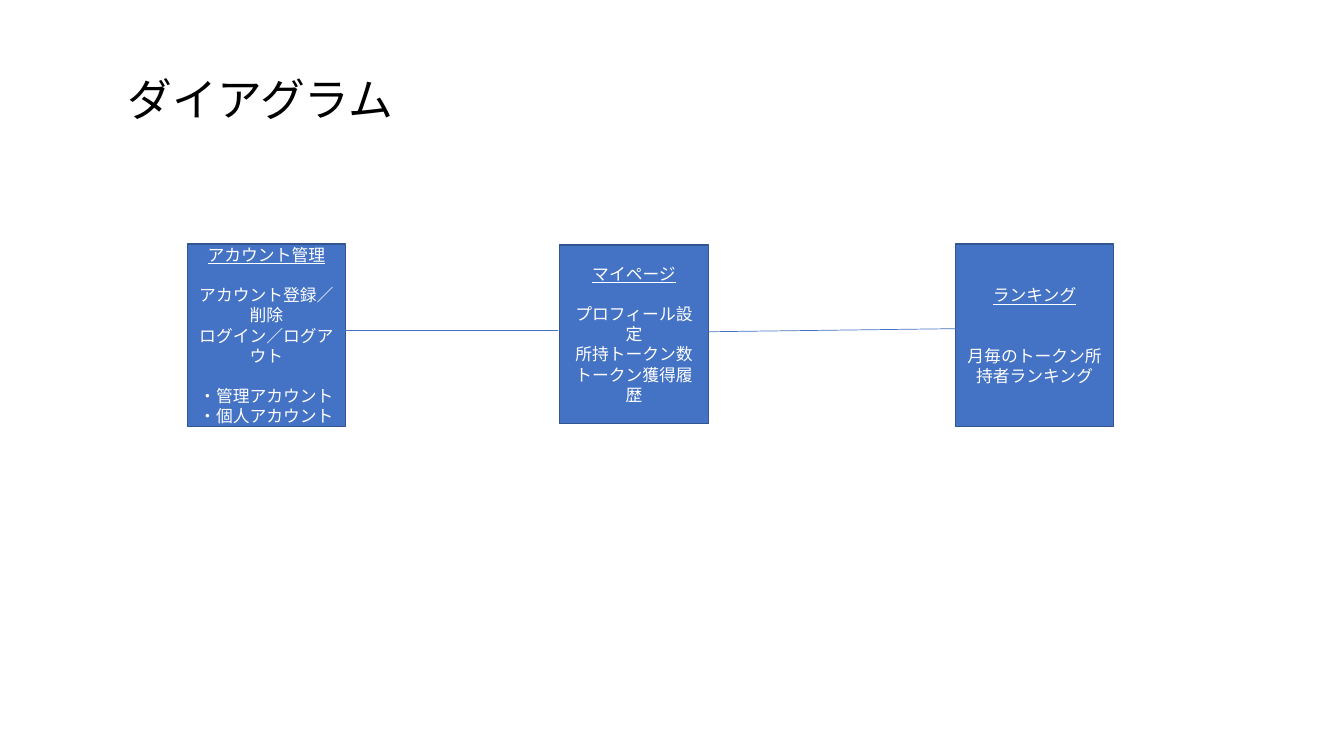
"""Build the service diagram slide with three linked feature boxes."""
from dataclasses import dataclass

import lxml.etree
import pptx
import pptx.dml.color
import pptx.enum.shapes
import pptx.enum.text
import pptx.oxml.ns
import pptx.slide
import pptx.text.text
import pptx.util

Cm = pptx.util.Cm
Pt = pptx.util.Pt
FONT = "Calibri"
BLUE, DARK_BLUE, WHITE, BLACK = "4472C4", "325491", "FFFFFF", "000000"
LINE_PITCH = 14.4


@dataclass(frozen=True)
class Item:
    """A line of text and the number of text lines left free above it."""

    text: str
    lines_above: int = 0


@dataclass(frozen=True)
class Feature:
    """A box with an underlined heading and items, in centimetres."""

    left: float
    top: float
    width: float
    height: float
    heading: str
    items: tuple[Item, ...]


@dataclass(frozen=True)
class Link:
    """A straight line between two features, in centimetres."""

    start: tuple[float, float]
    end: tuple[float, float]


FEATURES = (
    Feature(4.72, 6.15, 3.99, 4.6, "アカウント管理", (
        Item("アカウント登録／削除", 1),
        Item("ログイン／ログアウト"),
        Item("・管理アカウント", 1),
        Item("・個人アカウント"),
    )),
    Feature(14.1, 6.17, 3.76, 4.5, "マイページ", (
        Item("プロフィール設定", 1),
        Item("所持トークン数"),
        Item("トークン獲得履歴"),
    )),
    Feature(24.08, 6.15, 3.99, 4.6, "ランキング", (
        Item("月毎のトークン所持者ランキング", 2),
    )),
)
LINKS = (
    Link((8.69, 8.33), (14.07, 8.33)),
    Link((17.83, 8.36), (24.23, 8.28)),
)


def rgb(value: str) -> pptx.dml.color.RGBColor:
    """Return the colour for a hex string."""
    return pptx.dml.color.RGBColor.from_string(value)


def format_font(font: pptx.text.text.Font, size: float, color: str) -> None:
    """Apply the slide's typeface with a size and colour."""
    font.name = FONT
    font.size = Pt(size)
    font.color.rgb = rgb(color)


def add_title(slide: pptx.slide.Slide, text: str) -> None:
    """Fill and place the title placeholder."""
    title = slide.shapes.title
    title.left, title.top = Cm(2.97), Cm(1.68)
    title.width, title.height = Cm(12.57), Cm(1.63)
    frame = title.text_frame
    frame.text = text
    frame.auto_size = pptx.enum.text.MSO_AUTO_SIZE.NONE
    frame.vertical_anchor = pptx.enum.text.MSO_ANCHOR.MIDDLE
    paragraph = frame.paragraphs[0]
    paragraph.alignment = pptx.enum.text.PP_ALIGN.LEFT
    format_font(paragraph.runs[0].font, 32, BLACK)


def add_feature(slide: pptx.slide.Slide, feature: Feature) -> None:
    """Draw a feature box with its heading and items."""
    box = slide.shapes.add_shape(
        pptx.enum.shapes.MSO_SHAPE.RECTANGLE,
        Cm(feature.left), Cm(feature.top), Cm(feature.width), Cm(feature.height),
    )
    box.shadow.inherit = False
    box.fill.solid()
    box.fill.fore_color.rgb = rgb(BLUE)
    box.line.color.rgb = rgb(DARK_BLUE)
    box.line.width = Pt(1)
    frame = box.text_frame
    frame.word_wrap = True
    frame.vertical_anchor = pptx.enum.text.MSO_ANCHOR.MIDDLE
    items = (Item(feature.heading), *feature.items)
    frame.text = "\n".join(item.text for item in items)
    for paragraph, item in zip(frame.paragraphs, items):
        paragraph.alignment = pptx.enum.text.PP_ALIGN.CENTER
        paragraph.space_before = Pt(item.lines_above * LINE_PITCH)
        format_font(paragraph.runs[0].font, 12, WHITE)
    frame.paragraphs[0].runs[0].font.underline = True


def add_link(slide: pptx.slide.Slide, link: Link) -> None:
    """Draw a thin line without shadow."""
    connector = slide.shapes.add_connector(
        pptx.enum.shapes.MSO_CONNECTOR.STRAIGHT,
        *(Cm(value) for value in (*link.start, *link.end)),
    )
    connector.line.color.rgb = rgb(BLUE)
    connector.line.width = Pt(0.5)
    properties = connector._element.spPr
    lxml.etree.SubElement(properties, pptx.oxml.ns.qn("a:effectLst"))


def main() -> None:
    """Build and save the presentation."""
    presentation = pptx.Presentation()
    presentation.slide_width = Cm(33.87)
    presentation.slide_height = Cm(19.05)
    title_only = presentation.slide_layouts.get_by_name("Title Only")
    slide = presentation.slides.add_slide(title_only)
    add_title(slide, "ダイアグラム")
    for feature in FEATURES:
        add_feature(slide, feature)
    for link in LINKS:
        add_link(slide, link)
    presentation.save("out.pptx")


main()
